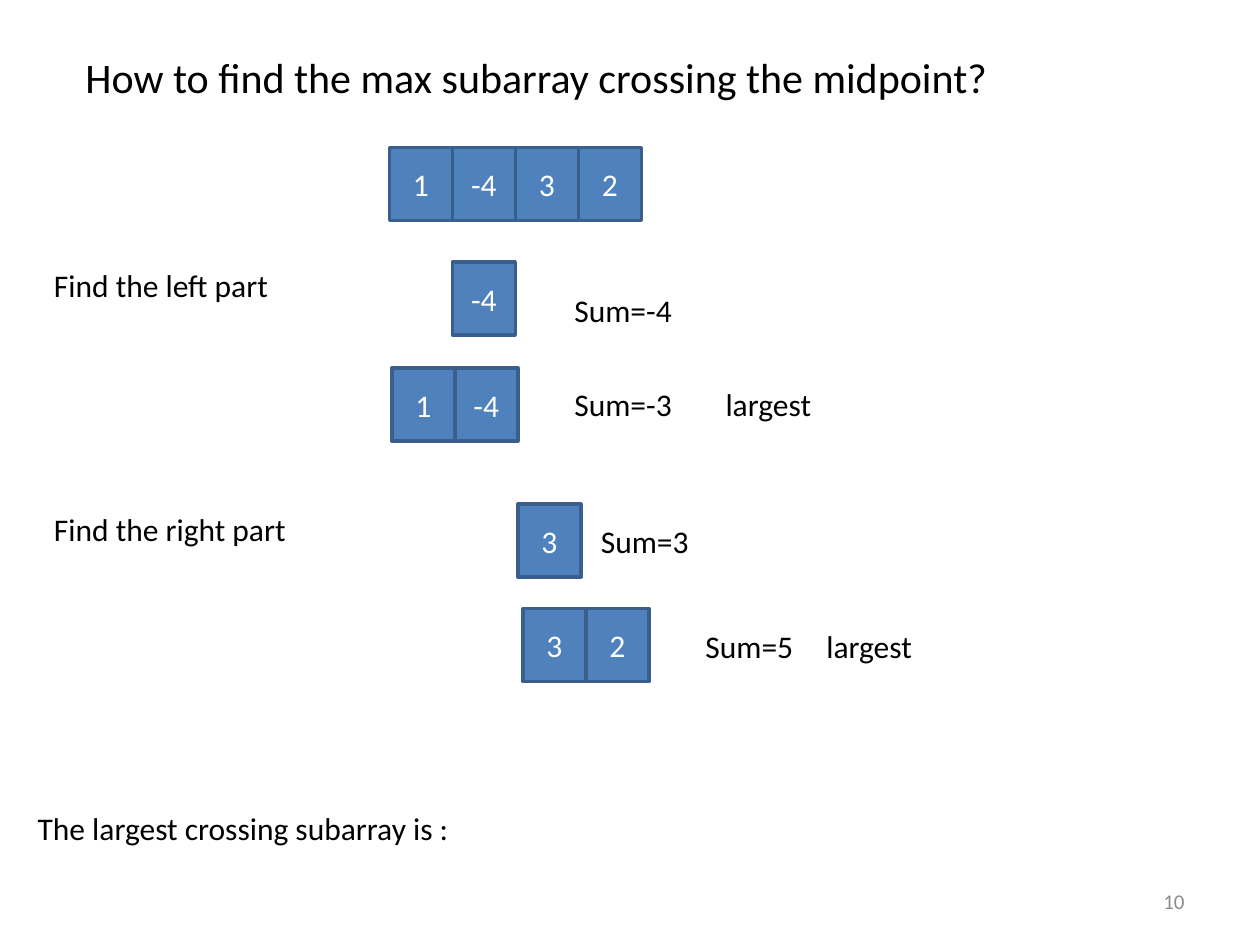
from pptx import Presentation, util as u
from pptx.dml.color import RGBColor
from pptx.enum import shapes, text

COLORS = {"cell": "4F81BD", "edge": "3A5F8C", "ink": "000000",
          "light": "FFFFFF", "number": "8C8C8C"}
FONT = "Calibri"
CELL_W, CELL_H = 0.5, 0.58
LABEL_W, LABEL_H = 1.58, 0.4

# Arrays: left, top, values of adjoining cells
ARRAYS = [
    (3.09, 1.17, ["1", "-4", "3", "2"]),
    (3.59, 2.08, ["-4"]),
    (3.11, 2.92, ["1", "-4"]),
    (4.11, 4.0, ["3"]),
    (4.15, 4.83, ["3", "2"]),
]

# Results beside the arrays: top, then (left, wording)
RESULTS = [
    (2.26, [(4.46, "Sum=-4")]),
    (3.01, [(4.46, "Sum=-3"), (5.66, "largest")]),
    (4.09, [(4.67, "Sum=3")]),
    (4.93, [(5.5, "Sum=5"), (6.46, "largest")]),
]

# Steps: left, top, width, wording
STEPS = [
    (0.33, 2.06, 1.92, "Find the left part"),
    (0.33, 4.0, 2.25, "Find the right part"),
    (0.2, 6.37, 3.55, "The largest crossing subarray is :"),
]
TITLE = "How to find the max subarray crossing the midpoint?"
PAGE_NUMBER = "10"


def rgb(name):
    return RGBColor.from_string(COLORS[name])


def write(box, wording, size, color, align=text.PP_ALIGN.LEFT,
          anchor=text.MSO_ANCHOR.TOP):
    frame = box.text_frame
    frame.word_wrap = True
    frame.vertical_anchor = anchor
    para = frame.paragraphs[0]
    para.text = wording
    para.alignment = align
    para.font.name = FONT
    para.font.size = u.Pt(size)
    para.font.color.rgb = rgb(color)


def add_label(page, left, top, width, height, wording, size=18, color="ink",
              **layout):
    box = page.shapes.add_textbox(*map(u.Inches, (left, top, width, height)))
    write(box, wording, size, color, **layout)


def add_cell(page, left, top, value):
    cell = page.shapes.add_shape(
        shapes.MSO_SHAPE.RECTANGLE,
        *map(u.Inches, (left, top, CELL_W, CELL_H)))
    cell.shadow.inherit = False
    cell.fill.solid()
    cell.fill.fore_color.rgb = rgb("cell")
    cell.line.color.rgb = rgb("edge")
    cell.line.width = u.Pt(2)
    write(cell, value, 18, "light", text.PP_ALIGN.CENTER,
          text.MSO_ANCHOR.MIDDLE)


def main():
    deck = Presentation()
    deck.slide_width, deck.slide_height = u.Inches(10), u.Inches(7.5)
    page = deck.slides.add_slide(deck.slide_layouts[6])

    # Title
    add_label(page, 0.58, 0.36, 8.5, 0.5, TITLE, size=24)

    # Array cells
    for left, top, values in ARRAYS:
        for column, value in enumerate(values):
            add_cell(page, left + column * CELL_W, top, value)

    # Sums and verdicts
    for top, labels in RESULTS:
        for left, wording in labels:
            add_label(page, left, top, LABEL_W, LABEL_H, wording)

    # Steps and conclusion
    for left, top, width, wording in STEPS:
        add_label(page, left, top, width, LABEL_H, wording)

    # Page number
    add_label(page, 7.17, 6.95, 2.33, LABEL_H, PAGE_NUMBER, size=12,
              color="number", align=text.PP_ALIGN.RIGHT,
              anchor=text.MSO_ANCHOR.MIDDLE)

    deck.save("out.pptx")


if __name__ == "__main__":
    main()
